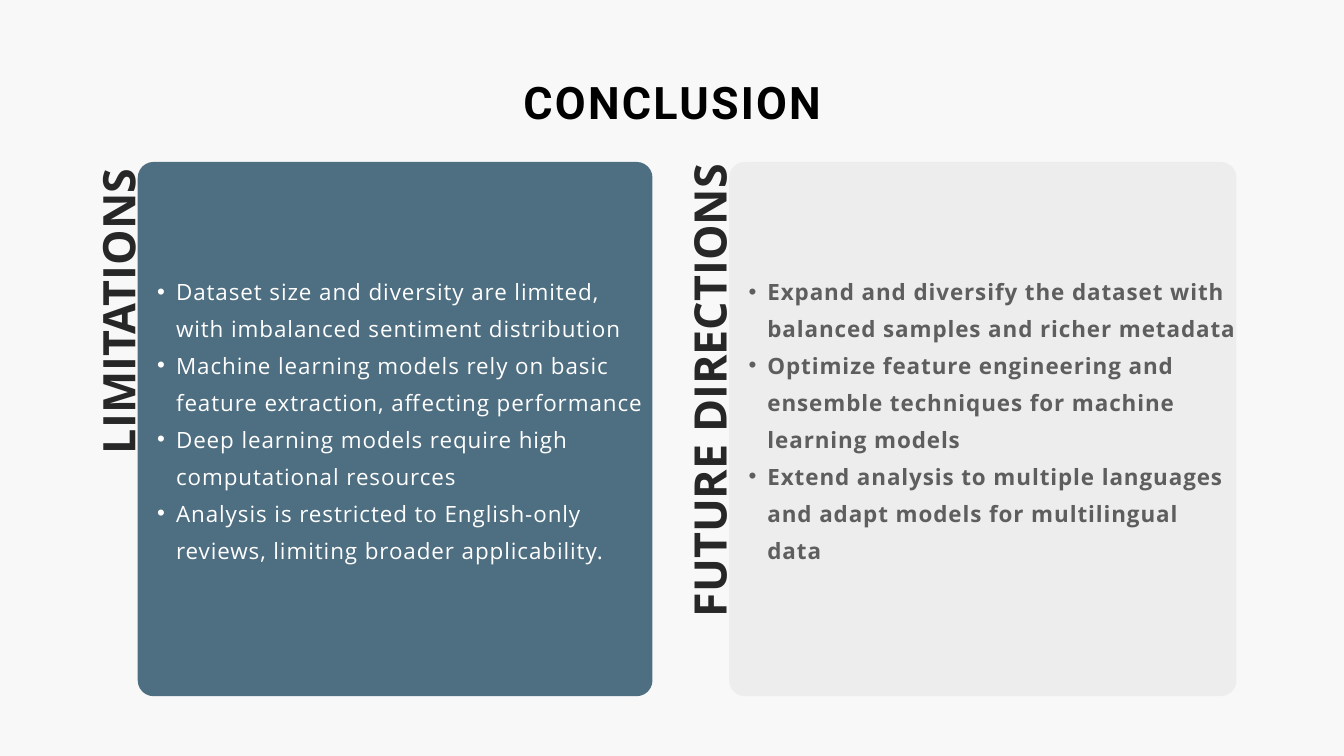
from dataclasses import dataclass

from lxml.etree import SubElement
from pptx import Presentation
from pptx.dml.color import RGBColor
from pptx.enum.shapes import MSO_SHAPE
from pptx.enum.text import MSO_ANCHOR, MSO_AUTO_SIZE, PP_ALIGN
from pptx.oxml.ns import qn
from pptx.util import Inches, Pt


@dataclass(frozen=True)
class Theme:
    background: str = "F8F8F8"
    title: str = "000000"
    label: str = "272727"
    blue: str = "4E6E81"
    grey: str = "EDEDED"
    on_blue: str = "FFFFFF"
    on_grey: str = "5E5E5E"
    heading_font: str = "Roboto"
    body_font: str = "Open Sans"
    heading_size: float = 48
    body_size: float = 24


THEME = Theme()
PANEL_TOP = 2.41
PANEL_HEIGHT = 7.95
CORNER_RADIUS = 0.235
TEXT_RISE = 0.4
LABEL_HEIGHT = 1.03
LABEL_OFFSET = 0.52

LIMITATIONS = [
    "Dataset size and diversity are limited, with imbalanced sentiment distribution",
    "Machine learning models rely on basic feature extraction, affecting performance",
    "Deep learning models require high computational resources",
    "Analysis is restricted to English-only reviews, limiting broader applicability.",
]
FUTURE_DIRECTIONS = [
    "Expand and diversify the dataset with balanced samples and richer metadata",
    "Optimize feature engineering and ensemble techniques for machine learning models",
    "Extend analysis to multiple languages and adapt models for multilingual data",
]


def prepare_frame(frame, anchor):
    frame.word_wrap = True
    frame.auto_size = MSO_AUTO_SIZE.NONE
    frame.vertical_anchor = anchor
    frame.margin_left = frame.margin_right = 0
    frame.margin_top = frame.margin_bottom = 0


def write_run(paragraph, text, font, size, color, bold, spacing=0):
    run = paragraph.add_run()
    run.text = text
    run.font.name = font
    run.font.size = Pt(size)
    run.font.bold = bold
    run.font.color.rgb = RGBColor.from_string(color)
    if spacing:
        run.font._element.set("spc", str(round(spacing * 100)))


def add_title(slide, text):
    title = slide.shapes.title
    title.left, title.top = Inches(1.26), Inches(0.98)
    title.width, title.height = Inches(17.49), Inches(0.94)
    prepare_frame(title.text_frame, MSO_ANCHOR.TOP)
    heading = title.text_frame.paragraphs[0]
    heading.alignment = PP_ALIGN.CENTER
    heading.line_spacing = Pt(67.2)
    write_run(heading, text, THEME.heading_font, THEME.heading_size,
              THEME.title, True, 2.4)


def format_bullet(paragraph):
    paragraph.level = 1
    paragraph.line_spacing = Pt(39.6)
    properties = paragraph._p.get_or_add_pPr()
    properties.set("marL", str(Inches(0.57)))
    properties.set("indent", str(Inches(-0.28)))
    SubElement(properties, qn("a:buFont"), typeface="Arial")
    SubElement(properties, qn("a:buChar"), char="•")


def add_panel(slide, left, width, fill, points, color, bold):
    panel = slide.shapes.add_group_shape()
    card = panel.shapes.add_shape(
        MSO_SHAPE.ROUNDED_RECTANGLE, Inches(left), Inches(PANEL_TOP),
        Inches(width), Inches(PANEL_HEIGHT))
    card.adjustments[0] = CORNER_RADIUS / width
    card.shadow.inherit = False
    card.fill.solid()
    card.fill.fore_color.rgb = RGBColor.from_string(fill)
    card.line.fill.background()

    point_list = panel.shapes.add_textbox(
        Inches(left), Inches(PANEL_TOP - TEXT_RISE),
        Inches(width), Inches(PANEL_HEIGHT + TEXT_RISE))
    frame = point_list.text_frame
    prepare_frame(frame, MSO_ANCHOR.MIDDLE)
    for index, point in enumerate(points):
        paragraph = frame.add_paragraph() if index else frame.paragraphs[0]
        format_bullet(paragraph)
        write_run(paragraph, point, THEME.body_font, THEME.body_size,
                  color, bold, 1)


def add_side_label(slide, text, panel_left, center_y, length):
    center_x = panel_left - LABEL_OFFSET
    label = slide.shapes.add_textbox(
        Inches(center_x - length / 2), Inches(center_y - LABEL_HEIGHT / 2),
        Inches(length), Inches(LABEL_HEIGHT))
    label.rotation = 270
    prepare_frame(label.text_frame, MSO_ANCHOR.TOP)
    paragraph = label.text_frame.paragraphs[0]
    paragraph.alignment = PP_ALIGN.RIGHT
    paragraph.line_spacing = Pt(81.6)
    write_run(paragraph, text, THEME.body_font, THEME.heading_size,
              THEME.label, True)


def main():
    deck = Presentation()
    deck.slide_width, deck.slide_height = Inches(20), Inches(11.25)
    slide = deck.slides.add_slide(deck.slide_layouts[5])
    slide.background.fill.solid()
    slide.background.fill.fore_color.rgb = RGBColor.from_string(THEME.background)

    limitations_left, directions_left = 2.05, 10.85
    add_title(slide, "CONCLUSION")
    add_panel(slide, limitations_left, 7.66, THEME.blue, LIMITATIONS,
              THEME.on_blue, False)
    add_panel(slide, directions_left, 7.55, THEME.grey, FUTURE_DIRECTIONS,
              THEME.on_grey, True)
    add_side_label(slide, "LIMITATIONS", limitations_left, 5.62, 6.22)
    add_side_label(slide, "FUTURE DIRECTIONS", directions_left, 6.12, 7.36)
    deck.save("out.pptx")


if __name__ == "__main__":
    main()
